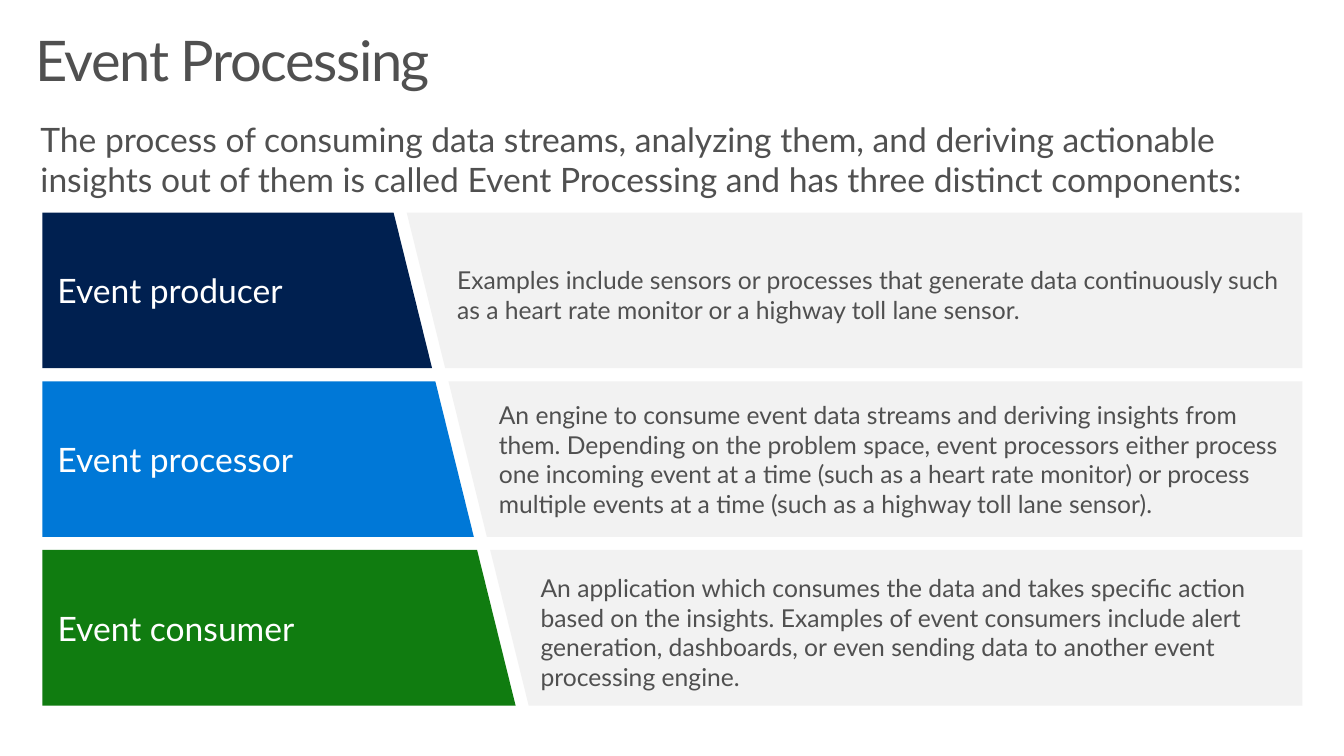
from pptx import Presentation
from pptx.dml.color import RGBColor
from pptx.enum.text import MSO_ANCHOR, MSO_AUTO_SIZE, PP_ALIGN
from pptx.util import Cm, Pt

GREY, WHITE, PALE = "505050", "FFFFFF", "F2F2F2"
SLANT, GAP = 0.97, 0.33

ROWS = [
    ("Event producer", "002050", 0.46,
     "Examples include sensors or processes that generate data continuously "
     "such as a heart rate monitor or a highway toll lane sensor."),
    ("Event processor", "0078D7", 0.25,
     "An engine to consume event data streams and deriving insights from "
     "them. Depending on the problem space, event processors either process "
     "one incoming event at a time (such as a heart rate monitor) or process "
     "multiple events at a time (such as a highway toll lane sensor)."),
    ("Event consumer", "107C10", 0.46,
     "An application which consumes the data and takes specific action based "
     "on the insights. Examples of event consumers include alert generation, "
     "dashboards, or even sending data to another event processing engine."),
]


def color(code):
    return RGBColor.from_string(code)


def write(frame, text, size, ink, insets, anchor=MSO_ANCHOR.TOP):
    """Fill a text frame; insets are left, top, right, bottom in cm."""
    frame.word_wrap = True
    frame.auto_size = MSO_AUTO_SIZE.NONE
    frame.vertical_anchor = anchor
    (frame.margin_left, frame.margin_top,
     frame.margin_right, frame.margin_bottom) = map(Cm, insets)
    para = frame.paragraphs[0]
    para.alignment = PP_ALIGN.LEFT
    run = para.add_run()
    run.text = text
    run.font.name = "Lato"
    run.font.size = Pt(size)
    run.font.color.rgb = color(ink)
    return run


def add_title(slide, left, top, width, height):
    title = slide.shapes.title
    title.left, title.top = Cm(left), Cm(top)
    title.width, title.height = Cm(width), Cm(height)
    run = write(title.text_frame, "Event Processing", 40, GREY,
                (0.25, 0, 0, 0))
    run.font._element.set("spc", "-100")


def add_intro(slide, left, top, width, height):
    box = slide.shapes.add_textbox(Cm(left), Cm(top), Cm(width), Cm(height))
    write(box.text_frame,
          "The process of consuming data streams, analyzing them, and deriving "
          "actionable insights out of them is called Event Processing and has "
          "three distinct components:", 24, GREY, (0, 0, 0, 0))


def add_block(slide, points, fill):
    """Draw a filled outline through points given in cm."""
    first, *rest = [(Cm(x), Cm(y)) for x, y in points]
    pen = slide.shapes.build_freeform(*first)
    pen.add_line_segments(rest, close=True)
    block = pen.convert_to_shape()
    block.shadow.inherit = False
    block.fill.solid()
    block.fill.fore_color.rgb = color(fill)
    block.line.fill.background()
    return block


def add_row(slide, left, top, width, height, split, row):
    """Place a label and its panel, parted by a slanted gap at split."""
    name, fill, inset, detail = row
    right, base, cut = left + width, top + height, split + GAP
    label = add_block(slide, [(left, top), (split, top),
                              (split + SLANT, base), (left, base)], fill)
    write(label.text_frame, name, 24, WHITE, (0.38, 0.25, 0.38, 0.25),
          MSO_ANCHOR.MIDDLE)
    panel = add_block(slide, [(cut, top), (right, top),
                              (right, base), (cut + SLANT, base)], PALE)
    write(panel.text_frame, detail, 17.6, GREY, (1.27, inset, 0.38, 0.25),
          MSO_ANCHOR.MIDDLE)


def add_rows(slide, left, top, width, height):
    pitch = (height + GAP) / len(ROWS)
    tall = pitch - GAP
    step = SLANT * pitch / tall
    for i, row in enumerate(ROWS):
        add_row(slide, left, top + i * pitch, width, tall, 9.92 + i * step, row)


def main():
    deck = Presentation()
    deck.slide_width, deck.slide_height = Cm(33.87), Cm(19.05)
    slide = deck.slides.add_slide(deck.slide_layouts[5])
    add_title(slide, 0.64, 0.64, 32.49, 2.54)
    add_intro(slide, 1.02, 3, 31.75, 2.06)
    add_rows(slide, 1.07, 5.36, 31.75, 12.42)
    deck.save("out.pptx")


if __name__ == "__main__":
    main()
